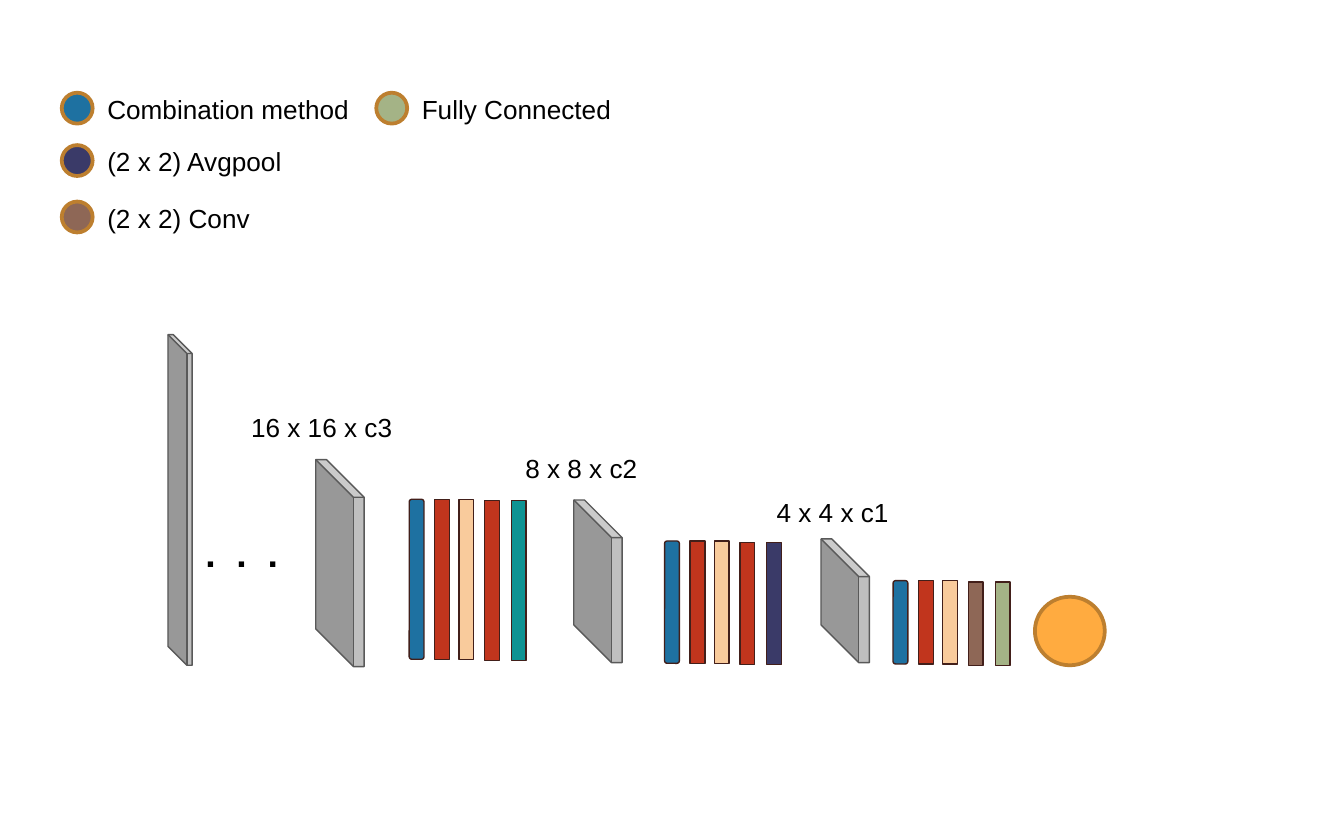
import dataclasses

import pptx
import pptx.dml.color
import pptx.enum.shapes
import pptx.enum.text
import pptx.util

Inches = pptx.util.Inches
SHAPE = pptx.enum.shapes.MSO_SHAPE


@dataclasses.dataclass(frozen=True)
class Theme:
    font: str = "Arial"
    text: str = "000000"
    label_size: int = 14
    dots_size: int = 20
    cube: str = "BFBFBF"
    cube_line: str = "595959"
    bar_line: str = "421F1A"
    circle_line: str = "BD7F2F"
    thin: float = 0.75
    thick: float = 2
    combination: str = "1E71A1"
    red: str = "C1351D"
    peach: str = "F9CB9C"
    teal: str = "0F9393"
    avgpool: str = "3A3A68"
    conv: str = "8E6756"
    connected: str = "A4B386"
    output: str = "FFAB40"


THEME = Theme()
BAR_OFFSETS = (0, 0.19, 0.37, 0.56, 0.76)
BAR_THICKNESS = 0.11


def rgb(value):
    return pptx.dml.color.RGBColor.from_string(value)


def add_solid(page, kind, frame, fill, line, width):
    shape = page.shapes.add_shape(kind, *map(Inches, frame))
    shape.shadow.inherit = False
    shape.fill.solid()
    shape.fill.fore_color.rgb = rgb(fill)
    shape.line.color.rgb = rgb(line)
    shape.line.width = pptx.util.Pt(width)
    return shape


def add_label(page, frame, text, size=THEME.label_size, bold=False, wrap=True):
    box = page.shapes.add_textbox(*map(Inches, frame))
    box.text_frame.word_wrap = wrap
    box.text_frame.vertical_anchor = pptx.enum.text.MSO_ANCHOR.MIDDLE
    span = box.text_frame.paragraphs[0].add_run()
    span.text = text
    formats = {"name": THEME.font, "size": pptx.util.Pt(size), "bold": bold}
    for name, value in formats.items():
        setattr(span.font, name, value)
    span.font.color.rgb = rgb(THEME.text)


def add_cube(page, left, top, width, height):
    """Add a slab mirrored so that its depth runs to the right."""
    cube = add_solid(page, SHAPE.CUBE, (left, top, width, height),
                     THEME.cube, THEME.cube_line, THEME.thin)
    cube.adjustments[0] = 0.78
    cube.element.spPr.get_or_add_xfrm().set("flipH", "1")


def add_bars(page, start, middle, length, colors):
    """Add a stage's layers, turned upright around their centres."""
    for index, (offset, color) in enumerate(zip(BAR_OFFSETS, colors)):
        kind = SHAPE.ROUNDED_RECTANGLE if index == 0 else SHAPE.RECTANGLE
        center_y = middle + (0.01 if index > 2 else 0)
        frame = (start + offset - length / 2, center_y - BAR_THICKNESS / 2,
                 length, BAR_THICKNESS)
        bar = add_solid(page, kind, frame, color, THEME.bar_line, THEME.thin)
        bar.rotation = 270


def add_circle(page, left, top, width, height, color):
    add_solid(page, SHAPE.OVAL, (left, top, width, height),
              color, THEME.circle_line, THEME.thick)


def add_legend_entry(page, left, top, color, text):
    add_circle(page, left, top, 0.23, 0.23, color)
    add_label(page, (left + 0.24, top - 0.05, 2.1, 0.34), text)


def main():
    deck = pptx.Presentation()
    deck.slide_width, deck.slide_height = Inches(10), Inches(6.25)
    page = deck.slides.add_slide(deck.slide_layouts[6])

    add_label(page, (1.43, 3.89, 0.74, 0.44), ".  .  .",
              THEME.dots_size, bold=True, wrap=False)

    for cube in ((1.25, 2.49, 0.18, 2.46), (2.35, 3.42, 0.36, 1.54),
                 (4.27, 3.72, 0.36, 1.21), (6.11, 4.01, 0.36, 0.92)):
        add_cube(page, *cube)

    for left, top, width, text in ((1.77, 3.01, 1.3, "16 x 16 x c3"),
                                   (3.81, 3.31, 1.09, "8 x 8 x c2"),
                                   (5.68, 3.64, 1.09, "4 x 4 x c1")):
        add_label(page, (left, top, width, 0.34), text)

    shared = (THEME.combination, THEME.red, THEME.peach)
    for start, middle, length, ending in (
            (3.1, 4.31, 1.19, (THEME.red, THEME.teal)),
            (5.0, 4.48, 0.91, (THEME.red, THEME.avgpool)),
            (6.7, 4.63, 0.62, (THEME.conv, THEME.connected))):
        add_bars(page, start, middle, length, shared + ending)

    add_circle(page, 7.7, 4.44, 0.52, 0.51, THEME.output)

    for entry in ((0.46, 0.69, THEME.combination, "Combination method"),
                  (0.46, 1.08, THEME.avgpool, "(2 x 2) Avgpool"),
                  (0.46, 1.5, THEME.conv, "(2 x 2) Conv"),
                  (2.8, 0.69, THEME.connected, "Fully Connected")):
        add_legend_entry(page, *entry)

    deck.save("out.pptx")


if __name__ == "__main__":
    main()
